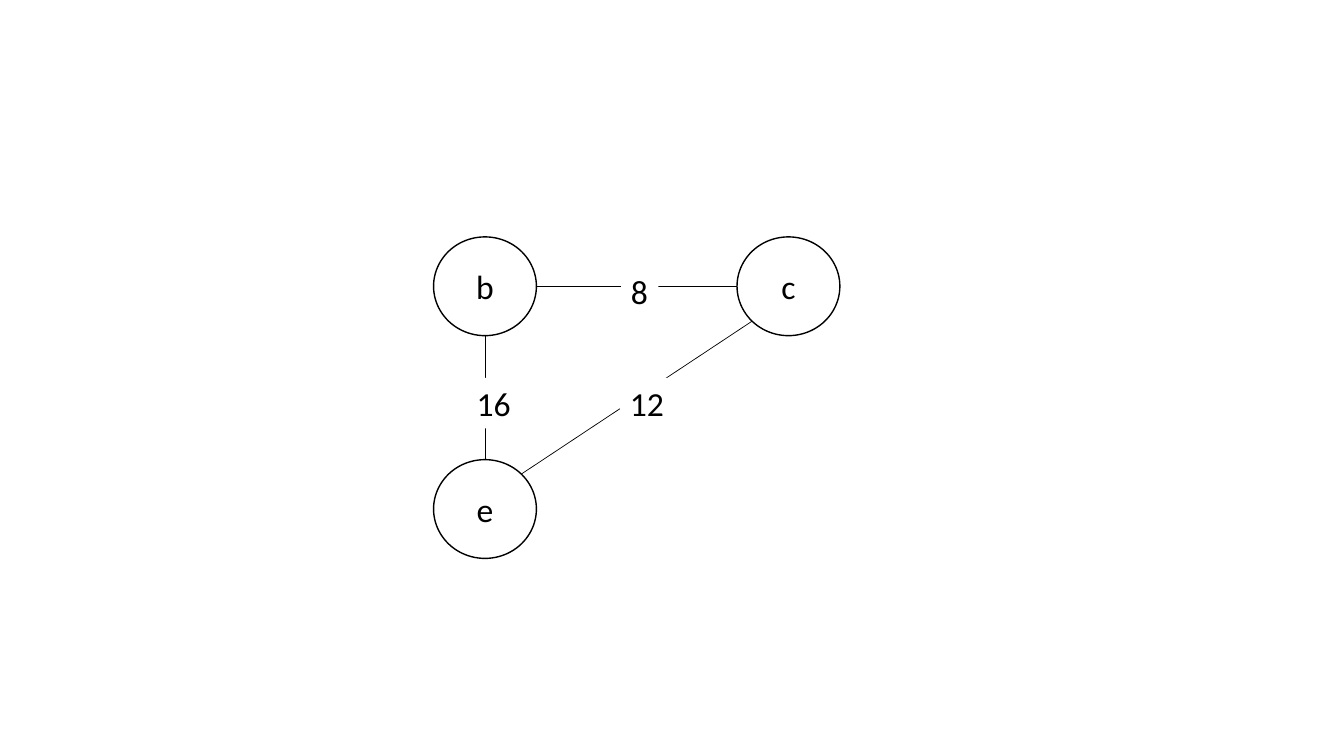
from dataclasses import dataclass
from math import hypot

from lxml import etree
from pptx import Presentation
from pptx import util as u
from pptx.dml.color import RGBColor
from pptx.enum import shapes, text
from pptx.oxml.ns import qn


@dataclass(frozen=True)
class Theme:
    ink: RGBColor = RGBColor(0, 0, 0)
    paper: RGBColor = RGBColor(255, 255, 255)
    font: str = "Calibri"
    size: int = 24
    node_line: float = 1
    edge_line: float = 0.5


THEME = Theme()
NODE_WIDTH, NODE_HEIGHT = 1.02, 0.98
LABEL_HEIGHT = 0.5
NODES = {"b": (4.81, 2.84), "c": (7.82, 2.84), "e": (4.81, 5.05)}
EDGES = [("b", "c"), ("e", "c"), ("e", "b")]
WEIGHTS = [("8", 6.16, 2.64, 0.37), ("16", 4.63, 3.75, 0.54), ("12", 6.15, 3.75, 0.54)]


def write(shape, wording, alignment):
    paragraph = shape.text_frame.paragraphs[0]
    paragraph.text = wording
    paragraph.alignment = alignment
    paragraph.font.name = THEME.font
    paragraph.font.size = u.Pt(THEME.size)
    paragraph.font.color.rgb = THEME.ink


def add_node(slide, name, x, y):
    shape = slide.shapes.add_shape(
        shapes.MSO_SHAPE.FLOWCHART_CONNECTOR,
        u.Inches(x - NODE_WIDTH / 2), u.Inches(y - NODE_HEIGHT / 2),
        u.Inches(NODE_WIDTH), u.Inches(NODE_HEIGHT))
    shape.shadow.inherit = False
    shape.fill.background()
    shape.line.color.rgb = THEME.ink
    shape.line.width = u.Pt(THEME.node_line)
    shape.text_frame.vertical_anchor = text.MSO_ANCHOR.MIDDLE
    write(shape, name, text.PP_ALIGN.CENTER)


def rim_point(start, end):
    signs = [(b > a) - (b < a) for a, b in zip(start, end)]
    length = hypot(*signs)
    radii = (NODE_WIDTH / 2, NODE_HEIGHT / 2)
    return [u.Inches(a + r * s / length) for a, r, s in zip(start, radii, signs)]


def add_edge(slide, start, end):
    connector = slide.shapes.add_connector(
        shapes.MSO_CONNECTOR.STRAIGHT, *rim_point(start, end), *rim_point(end, start))
    connector.line.color.rgb = THEME.ink
    connector.line.width = u.Pt(THEME.edge_line)
    etree.SubElement(connector._element.spPr, qn("a:effectLst"))


def add_weight(slide, wording, left, top, width):
    box = slide.shapes.add_textbox(
        u.Inches(left), u.Inches(top), u.Inches(width), u.Inches(LABEL_HEIGHT))
    box.fill.solid()
    box.fill.fore_color.rgb = THEME.paper
    box.text_frame.word_wrap = False
    box.text_frame.auto_size = text.MSO_AUTO_SIZE.SHAPE_TO_FIT_TEXT
    write(box, wording, text.PP_ALIGN.LEFT)


def main():
    presentation = Presentation()
    presentation.slide_width = u.Inches(13.33)
    presentation.slide_height = u.Inches(7.5)
    slide = presentation.slides.add_slide(presentation.slide_layouts[6])
    for name, centre in NODES.items():
        add_node(slide, name, *centre)
    for start, end in EDGES:
        add_edge(slide, NODES[start], NODES[end])
    for weight in WEIGHTS:
        add_weight(slide, *weight)
    presentation.save("out.pptx")


if __name__ == "__main__":
    main()
